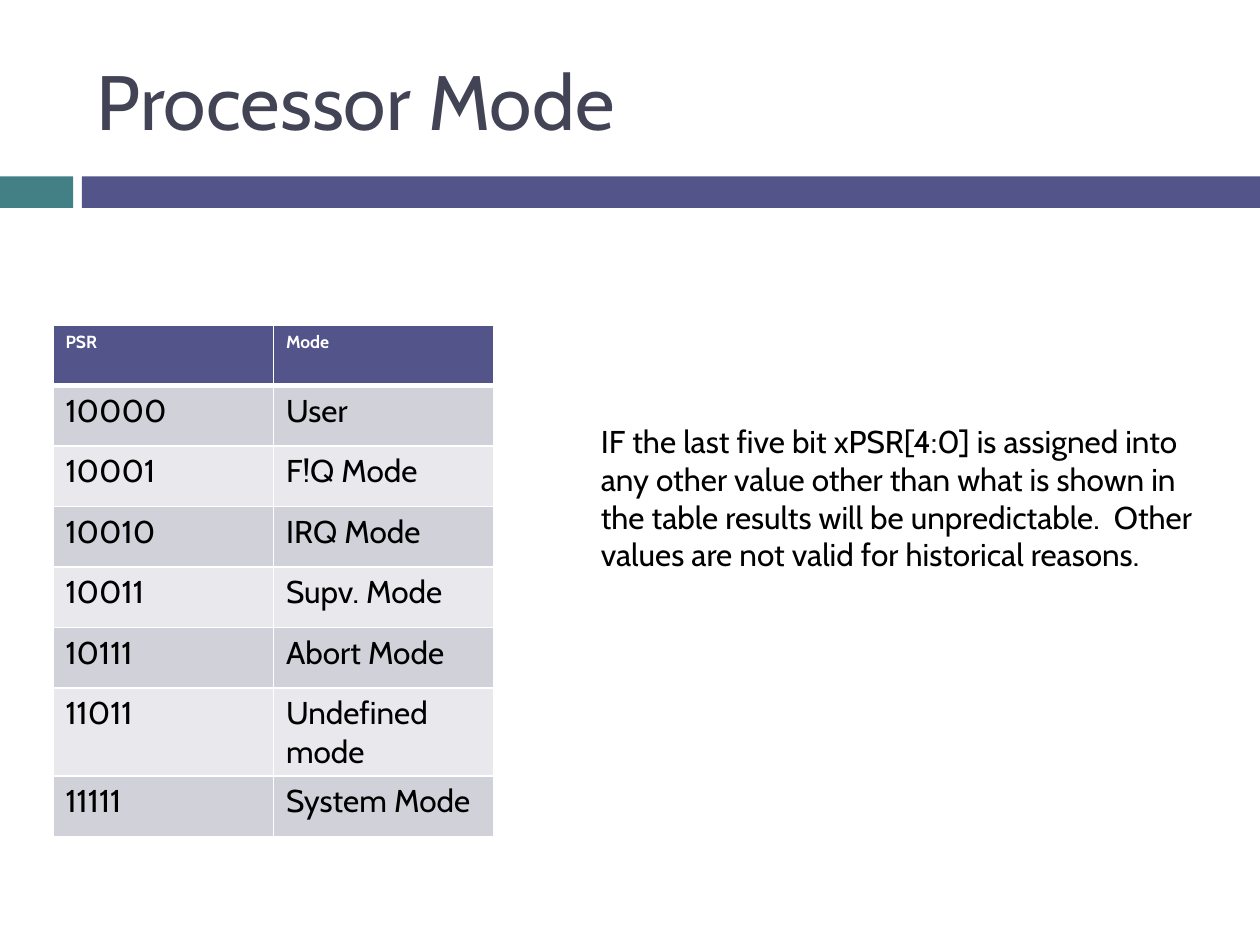
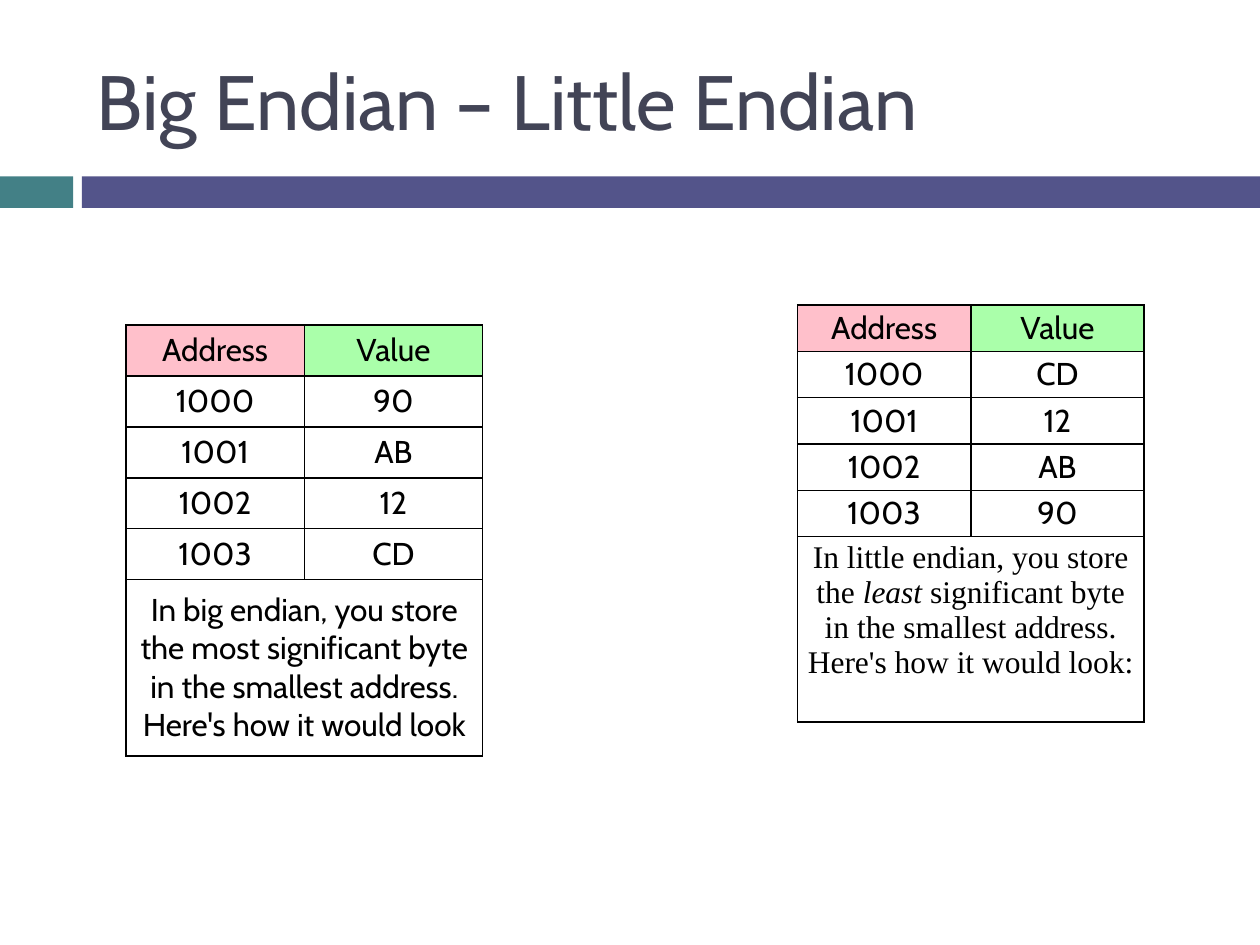
"""Builds two slides on processor modes and byte order."""
from lxml import etree
from pptx import Presentation
from pptx.dml.color import RGBColor
from pptx.enum import shapes, text
from pptx.oxml.ns import qn
from pptx.util import Inches, Pt

FONT, SERIF = "Cabin", "Times New Roman"
BLACK, WHITE = "000000", "FFFFFF"
TEAL, INDIGO, SLATE = "438086", "53548A", "424456"
BANDS = ["D1D1DA", "E9E9ED"]
HEADS = ["FFC0CB", "AAFFAA"]
STRIPES = [(0, 0.58, TEAL), (0.65, 9.35, INDIGO)]

MODE_TITLE = "Processor Mode"
MODES = [
    ("PSR", "Mode"),
    ("10000", "User"),
    ("10001", "F!Q Mode"),
    ("10010", "IRQ Mode"),
    ("10011", "Supv. Mode"),
    ("10111", "Abort Mode"),
    ("11011", "Undefined mode"),
    ("11111", "System Mode"),
]
MODE_NOTE = ("IF the last five bit xPSR[4:0] is assigned into any other value other than "
             "what is shown in the table results will be unpredictable.  Other values are "
             "not valid for historical reasons.")

ENDIAN_TITLE = "Big Endian – Little Endian"
ADDRESSES = ["1000", "1001", "1002", "1003"]
ENDIANS = [
    dict(at=(1, 2.58), width=2.83, grid_height=2.02, note_height=1.4,
         values=["90", "AB", "12", "CD"], font=FONT, anchor=text.MSO_ANCHOR.MIDDLE,
         note=[("In big endian, you store the most significant byte in the smallest "
                "address. Here's how it would look", False)]),
    dict(at=(6.33, 2.42), width=2.75, grid_height=1.84, note_height=1.47,
         values=["CD", "12", "AB", "90"], font=SERIF, anchor=text.MSO_ANCHOR.TOP,
         note=[("In little endian, you store the ", False), ("least", True),
               (" significant byte in the smallest address. Here's how it would look:",
                False)]),
]


def rgb(value):
    return RGBColor.from_string(value)


def write(tf, runs, size=18, color=BLACK, font=FONT, bold=False, align=None):
    p = tf.paragraphs[0]
    p.alignment = align
    p.font.size, p.font.name, p.font.bold = Pt(size), font, bold
    p.font.color.rgb = rgb(color)
    for words, italic in runs:
        r = p.add_run()
        r.text = words
        if italic:
            r.font.italic = True


def add_text(s, words, box, anchor=text.MSO_ANCHOR.TOP, **style):
    tf = s.shapes.add_textbox(*map(Inches, box)).text_frame
    tf.word_wrap = True
    tf.vertical_anchor = anchor
    write(tf, [(words, False)], **style)


def add_slide(prs, title):
    s = prs.slides.add_slide(prs.slide_layouts[6])
    for left, width, color in STRIPES:
        sp = s.shapes.add_shape(shapes.MSO_SHAPE.RECTANGLE, Inches(left), Inches(1.4),
                                Inches(width), Inches(0.25))
        sp.shadow.inherit = False
        sp.fill.solid()
        sp.fill.fore_color.rgb = rgb(color)
        sp.line.fill.background()
    add_text(s, title, (0.67, 0.25, 8.92, 1.08), text.MSO_ANCHOR.MIDDLE,
             size=44, color=SLATE)
    return s


def add_table(s, at, width, heights):
    box = (*at, width, sum(heights))
    table = s.shapes.add_table(len(heights), 2, *map(Inches, box)).table
    table.first_row = table.horz_banding = False
    for col in table.columns:
        col.width = Inches(width / 2)
    for row, height in zip(table.rows, heights):
        row.height = Inches(height)
    return table


def paint(cell, fill, border, top=1, bottom=1):
    tcPr = cell._tc.get_or_add_tcPr()
    for side, points in zip("LRTB", (1, 1, top, bottom)):
        ln = etree.SubElement(tcPr, qn(f"a:ln{side}"), w=str(Pt(points)))
        solid = etree.SubElement(ln, qn("a:solidFill"))
        etree.SubElement(solid, qn("a:srgbClr"), val=border)
    cell.fill.solid()
    cell.fill.fore_color.rgb = rgb(fill)


def add_mode_table(s):
    table = add_table(s, (0.42, 2.58), 3.5, [0.48] * len(MODES))
    for i, row in enumerate(MODES):
        for j, words in enumerate(row):
            cell = table.cell(i, j)
            if i == 0:
                paint(cell, INDIGO, WHITE, bottom=3)
                write(cell.text_frame, [(words, False)], 10, WHITE, bold=True)
            else:
                paint(cell, BANDS[(i - 1) % 2], WHITE, top=3 if i == 1 else 1)
                write(cell.text_frame, [(words, False)])


def add_endian_table(s, endian):
    grid = [("Address", "Value"), *zip(ADDRESSES, endian["values"])]
    heights = [endian["grid_height"] / len(grid)] * len(grid) + [endian["note_height"]]
    table = add_table(s, endian["at"], endian["width"], heights)
    last = len(grid)
    table.cell(last, 0).merge(table.cell(last, 1))
    for i in range(last + 1):
        for j in range(2):
            cell = table.cell(i, j)
            paint(cell, HEADS[j] if i == 0 else WHITE, BLACK)
            cell.margin_left = cell.margin_right = Inches(0.03)
            cell.margin_top = cell.margin_bottom = Inches(0.03)
            cell.vertical_anchor = text.MSO_ANCHOR.MIDDLE
            if i < last:
                write(cell.text_frame, [(grid[i][j], False)], align=text.PP_ALIGN.CENTER)
    note = table.cell(last, 0)
    note.vertical_anchor = endian["anchor"]
    write(note.text_frame, endian["note"], font=endian["font"], align=text.PP_ALIGN.CENTER)


def main():
    prs = Presentation()
    prs.slide_width, prs.slide_height = Inches(10), Inches(7.5)
    s = add_slide(prs, MODE_TITLE)
    add_mode_table(s)
    add_text(s, MODE_NOTE, (4.67, 3.3, 4.92, 1.31))
    s = add_slide(prs, ENDIAN_TITLE)
    for endian in ENDIANS:
        add_endian_table(s, endian)
    prs.save("out.pptx")


if __name__ == "__main__":
    main()
